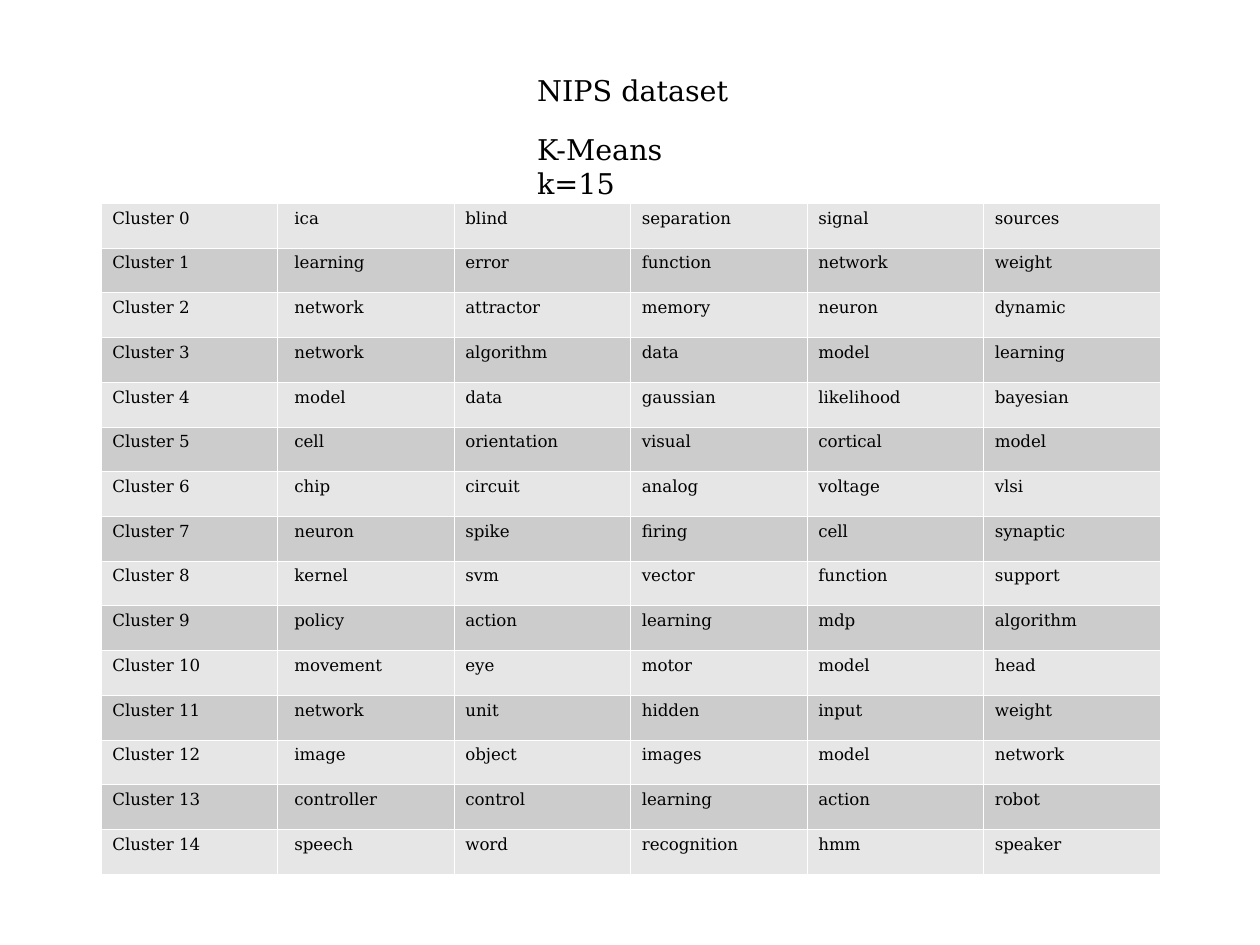
"""Build the slide of K-Means clusters found in the NIPS dataset."""
from lxml import etree
from pptx import Presentation
from pptx import util as u
from pptx.dml.color import RGBColor
from pptx.enum import text
from pptx.oxml import ns

PX = 8000
FONT = "DejaVu Serif"
BLACK = RGBColor(0x00, 0x00, 0x00)
WHITE = RGBColor(0xFF, 0xFF, 0xFF)
BANDS = [RGBColor(0xE6, 0xE6, 0xE6), RGBColor(0xCC, 0xCC, 0xCC)]
BORDER_WIDTH = 720
WORD_INDENT = 17

TITLES = [("K-Means k=15", 126, 234), ("NIPS dataset", 67, 214)]
CLUSTERS = [
    "ica blind separation signal sources",
    "learning error function network weight",
    "network attractor memory neuron dynamic",
    "network algorithm data model learning",
    "model data gaussian likelihood bayesian",
    "cell orientation visual cortical model",
    "chip circuit analog voltage vlsi",
    "neuron spike firing cell synaptic",
    "kernel svm vector function support",
    "policy action learning mdp algorithm",
    "movement eye motor model head",
    "network unit hidden input weight",
    "image object images model network",
    "controller control learning action robot",
    "speech word recognition hmm speaker",
]


def write(frame, wording, size):
    frame.text = wording
    font = frame.paragraphs[0].runs[0].font
    font.name = FONT
    font.size = u.Pt(size)
    font.bold = False
    font.color.rgb = BLACK


def add_borders(cell):
    properties = cell._tc.get_or_add_tcPr()
    for side in ("lnL", "lnR", "lnT", "lnB"):
        line = etree.SubElement(properties, ns.qn(f"a:{side}"), w=str(BORDER_WIDTH))
        fill = etree.SubElement(line, ns.qn("a:solidFill"))
        etree.SubElement(fill, ns.qn("a:srgbClr"), val=str(WHITE))


deck = Presentation()
deck.slide_width = 1260 * PX
deck.slide_height = 945 * PX
page = deck.slides.add_slide(deck.slide_layouts[6])
page.background.fill.solid()
page.background.fill.fore_color.rgb = WHITE

for wording, top, width in TITLES:
    box = page.shapes.add_textbox(526 * PX, top * PX, width * PX, 45 * PX)
    box.text_frame.word_wrap = False
    box.text_frame.auto_size = text.MSO_AUTO_SIZE.SHAPE_TO_FIT_TEXT
    write(box.text_frame, wording, 18)

table = page.shapes.add_table(
    len(CLUSTERS), 6, 101 * PX, 203 * PX, 1059 * PX, 671 * PX
).table
table.first_row = False
table.horz_banding = False

for row, words in enumerate(CLUSTERS):
    for column, wording in enumerate([f"Cluster {row}"] + words.split()):
        cell = table.cell(row, column)
        add_borders(cell)
        cell.fill.solid()
        cell.fill.fore_color.rgb = BANDS[row % 2]
        if column == 1:
            cell.margin_left = WORD_INDENT * PX
        write(cell.text_frame, wording, 10.5)

deck.save("out.pptx")
